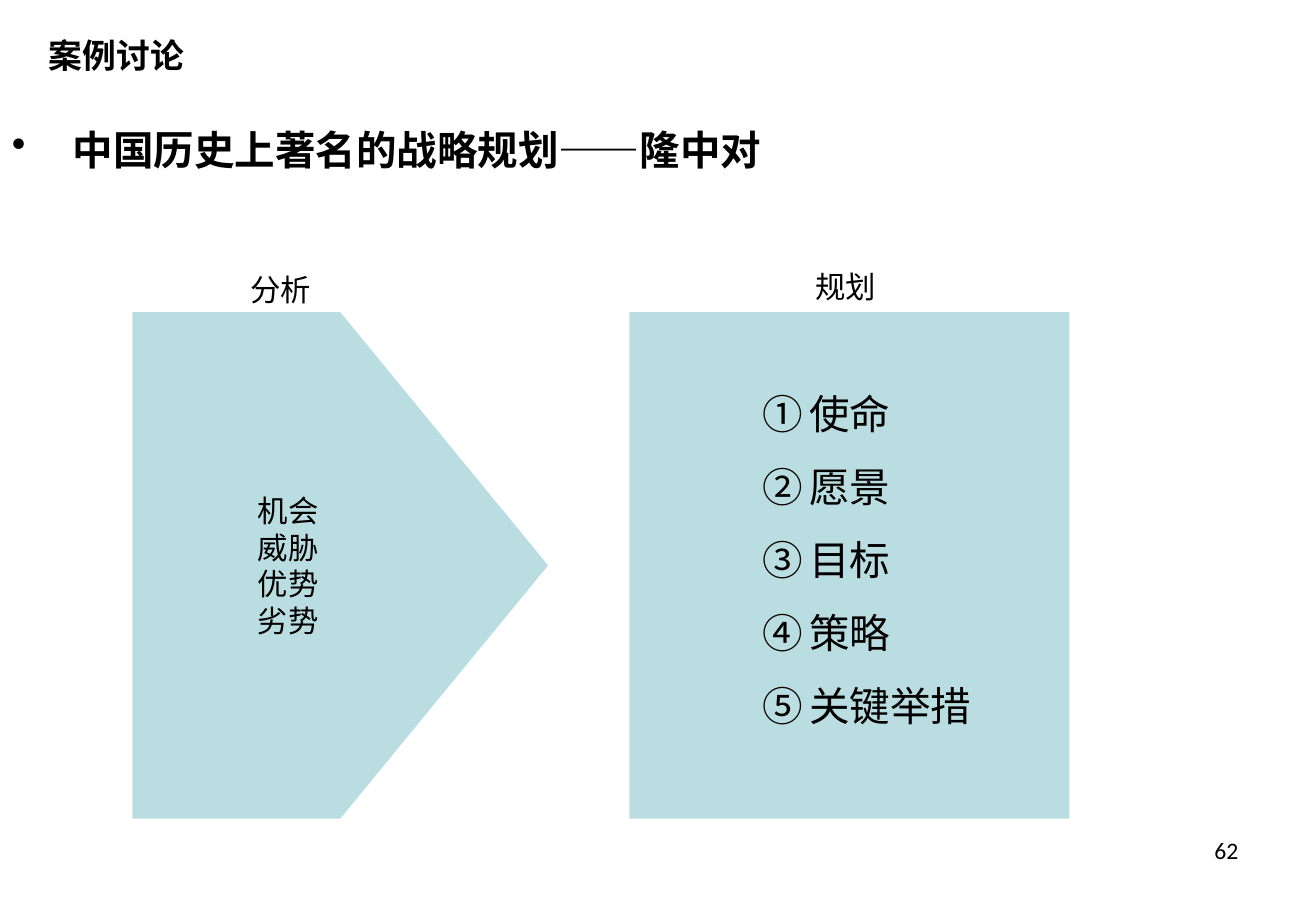
from lxml import etree
from pptx import Presentation
from pptx.dml.color import RGBColor
from pptx.enum import shapes, text
from pptx.oxml.ns import qn
from pptx.util import Inches, Pt

COLORS = {"ink": "000000", "panel": "BADDE1"}
LEFT, CENTER, RIGHT = text.PP_ALIGN.LEFT, text.PP_ALIGN.CENTER, text.PP_ALIGN.RIGHT
MIDDLE = text.MSO_ANCHOR.MIDDLE


def write(shape, lines, size, font="Cambria", bold=False, align=LEFT, wrap=True, space=None):
    """Fill a shape with equally formatted paragraphs."""
    frame = shape.text_frame
    frame.word_wrap = wrap
    frame.text = "\n".join(lines)
    for para in frame.paragraphs:
        para.alignment = align
        para.line_spacing = space
        para.font.name = font
        para.font.size = Pt(size)
        para.font.bold = bold
        para.font.color.rgb = RGBColor.from_string(COLORS["ink"])


def mark(shape, tag, key, value, margin, hang):
    """Put a hanging bullet or number on each paragraph."""
    for para in shape.text_frame.paragraphs:
        props = para._p.get_or_add_pPr()
        props.set("marL", str(Inches(margin)))
        props.set("indent", str(-Inches(hang)))
        etree.SubElement(props, qn(tag)).set(key, value)


prs = Presentation()
prs.slide_width, prs.slide_height = Inches(10.83), Inches(7.5)
slide = prs.slides.add_slide(prs.slide_layouts[5])

title = slide.shapes.title
title.left, title.top = Inches(0.3), Inches(0.23)
title.width, title.height = Inches(9.75), Inches(0.45)
write(title, ["案例讨论"], 20, "Calibri", bold=True)
title.text_frame.vertical_anchor = MIDDLE

topic = slide.shapes.add_textbox(Inches(0), Inches(0.78), Inches(10.35), Inches(0.87))
topic.text_frame.text = ""
number = slide.shapes.add_textbox(Inches(7.76), Inches(6.83), Inches(2.53), Inches(0.52))
write(number, ["62"], 14, "Calibri", align=RIGHT)

panels = []
for kind, left, width in (
    (shapes.MSO_SHAPE.PENTAGON, 1.09, 3.42),
    (shapes.MSO_SHAPE.RECTANGLE, 5.18, 3.62),
):
    panel = slide.shapes.add_shape(kind, Inches(left), Inches(2.57), Inches(width), Inches(4.17))
    panel.shadow.inherit = False
    panel.fill.solid()
    panel.fill.fore_color.rgb = RGBColor.from_string(COLORS["panel"])
    panel.line.fill.background()
    panel.text_frame.vertical_anchor = MIDDLE
    panels.append(panel)
factors, plan = panels

write(factors, ["机会", "威胁", "优势", "劣势"], 18, align=CENTER, wrap=False)

# Line spacing precedes bullets, and bullets precede font settings.
for shape, lines, bold, bullet in (
    (topic, ["中国历史上著名的战略规划——隆中对"], True,
     ("a:buChar", "char", "•", 0.5, 0.5)),
    (plan, ["使命", "愿景", "目标", "策略", "关键举措"], False,
     ("a:buAutoNum", "type", "circleNumDbPlain", 1.38, 0.38)),
):
    shape.text_frame.text = "\n".join(lines)
    mark(shape, *bullet)
    shape.text_frame.word_wrap = True
    for para in shape.text_frame.paragraphs:
        para.alignment = LEFT
        para.line_spacing = 1.5
        para.font.name = "Cambria"
        para.font.size = Pt(24)
        para.font.bold = bold
        para.font.color.rgb = RGBColor.from_string(COLORS["ink"])
plan.text_frame.margin_bottom = Inches(0.35)

for label, left, top in (("规划", 6.61, 2.16), ("分析", 1.96, 2.18)):
    box = slide.shapes.add_textbox(Inches(left), Inches(top), Inches(0.71), Inches(0.4))
    write(box, [label], 18, "Noto Sans CJK SC", wrap=False)

prs.save("out.pptx")
